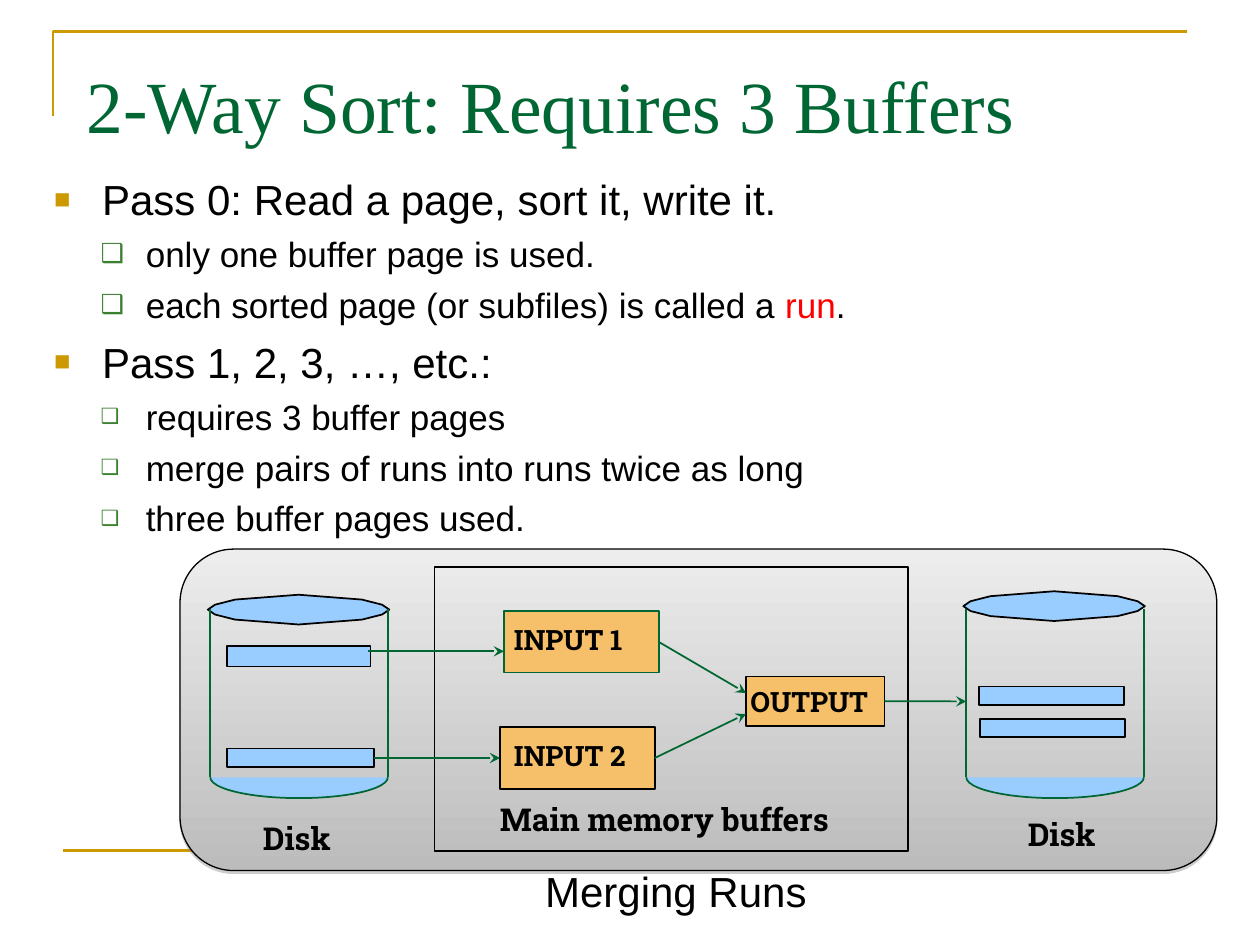
from lxml import etree
from pptx import Presentation
from pptx import util as u
from pptx.dml import color
from pptx.enum import shapes, text
from pptx.oxml import ns

GOLD, GREEN, BLACK = "CC9900", "006633", "000000"
BLUE, ORANGE, RED, LEAF = "99CCFF", "F6BF69", "FF0000", "3B812F"
SERIF, SANS, SLAB = "Times New Roman", "Arial", "Roboto Slab"
TOP, LEFT, BOTTOM, RIGHT = range(4)


def rgb(value):
    return color.RGBColor.from_string(value)


def add_xml(parent, tag, **attributes):
    child = etree.SubElement(parent, ns.qn(tag))
    for name, value in attributes.items():
        child.set(name, str(value))
    return child


class Sketch:
    def __init__(self, slide):
        self.shapes = slide.shapes

    def paint(self, shape, fill, line, width):
        shape.shadow.inherit = False
        if fill:
            shape.fill.solid()
            shape.fill.fore_color.rgb = rgb(fill)
        else:
            shape.fill.background()
        shape.line.color.rgb = rgb(line)
        shape.line.width = u.Pt(width)
        return shape

    def box(self, place, fill=None, line=BLACK, width=1, kind=shapes.MSO_SHAPE.RECTANGLE):
        shape = self.shapes.add_shape(kind, *map(u.Cm, place))
        return self.paint(shape, fill, line, width)

    def outline(self, points, fill=None, line=BLACK, width=1, close=False):
        start, *rest = [(u.Cm(x), u.Cm(y)) for x, y in points]
        builder = self.shapes.build_freeform(*start)
        builder.add_line_segments(rest, close=close)
        return self.paint(builder.convert_to_shape(), fill, line, width)

    def panel(self, place):
        panel = self.box(place, width=0.75, kind=shapes.MSO_SHAPE.ROUNDED_RECTANGLE)
        panel.fill.gradient()
        panel.fill.gradient_angle = 270
        for stop, position, shade in zip(panel.fill.gradient_stops, (0, 1), ("EDEDED", "BCBCBC")):
            stop.position = position
            stop.color.rgb = rgb(shade)
        effects = panel.element.spPr.find(ns.qn("a:effectLst"))
        shadow = add_xml(effects, "a:outerShdw", blurRad=0, dist=u.Pt(1.6), dir=5400000)
        tint = add_xml(shadow, "a:srgbClr", val="808080")
        add_xml(tint, "a:alpha", val=38000)

    def line(self, start, end, stroke=GREEN, width=1, arrow=False, source=None, target=None):
        ends = [u.Cm(value) for value in (*start, *end)]
        line = self.shapes.add_connector(shapes.MSO_CONNECTOR.STRAIGHT, *ends)
        if source:
            line.begin_connect(source, RIGHT)
        if target:
            line.end_connect(target, LEFT)
        line.line.color.rgb = rgb(stroke)
        line.line.width = u.Pt(width)
        properties = line.element.spPr
        if arrow:
            add_xml(properties.find(ns.qn("a:ln")), "a:tailEnd", type="stealth")
        add_xml(properties, "a:effectLst")

    def disk(self, left, lid_center):
        center_x, center_y = lid_center
        quarter = [(1, 0), (0.92, 0.33), (0.7, 0.67), (0, 1)]
        half = quarter + [(-x, y) for x, y in quarter[-2::-1]]
        rim = half + [(x, -y) for x, y in half[-2:0:-1]]
        self.outline([(center_x + 1.83 * x, center_y + 0.3 * y) for x, y in rim], BLUE, close=True)
        for wall in (left, left + 3.58):
            self.line((wall, 12.27), (wall, 15.67))
        base = self.box((left, 15.25, 3.58, 0.84), BLUE, GREEN, kind=shapes.MSO_SHAPE.ARC)
        base.adjustments[0] = 0
        base.adjustments[1] = 108

    def style(self, font, size, shade, name, bold=False):
        font.size = u.Pt(size)
        font.name = name
        font.color.rgb = rgb(shade)
        font.bold = bold

    def label(self, words, place, size, name=SLAB, shade=BLACK, bold=True, wrap=False):
        box = self.shapes.add_textbox(*map(u.Cm, place))
        box.text_frame.word_wrap = wrap
        para = box.text_frame.paragraphs[0]
        para.text = words
        self.style(para.font, size, shade, name, bold)
        return box

    def bullets(self, place, items):
        frame = self.shapes.add_textbox(*map(u.Cm, place)).text_frame
        frame.word_wrap = True
        for index, (level, scale, spans) in enumerate(items):
            para = frame.paragraphs[0] if index == 0 else frame.add_paragraph()
            size, gap, margin, hang, mark, shade = (
                (20, 5, 1.85, 0.91, "❑", LEAF) if level else (24, 6, 0.97, 0.97, "■", GOLD))
            para.level = level
            para.space_before = u.Pt(gap)
            self.style(para.font, size, BLACK, SANS)
            for words, tint in spans:
                span = para.add_run()
                span.text = words
                self.style(span.font, size, tint, SANS)
            properties = para._p.get_or_add_pPr()
            properties.set("marL", str(u.Cm(margin)))
            properties.set("indent", str(-u.Cm(hang)))
            defaults = properties.find(ns.qn("a:defRPr"))
            add_xml(add_xml(properties, "a:buClr"), "a:srgbClr", val=shade)
            add_xml(properties, "a:buSzPct", val=scale * 1000)
            add_xml(properties, "a:buFont", typeface=SANS)
            add_xml(properties, "a:buChar", char=mark)
            properties.append(defaults)


def main():
    deck = Presentation()
    deck.slide_width, deck.slide_height = u.Cm(25.4), u.Cm(19.05)
    sketch = Sketch(deck.slides.add_slide(deck.slide_layouts[6]))

    sketch.outline([(1.07, 2.34), (1.07, 0.64), (23.93, 0.64)], line=GOLD, width=1.5)
    sketch.line((1.27, 17.15), (24.13, 17.15), GOLD, 1.5)
    sketch.panel((3.63, 11.07, 20.9, 6.48))

    title = sketch.label("2-Way Sort: Requires 3 Buffers", (1.5, 0.91, 22.4, 2.39),
                         42, SERIF, GREEN, bold=False, wrap=True)
    title.text_frame.vertical_anchor = text.MSO_ANCHOR.MIDDLE
    sketch.bullets((0.84, 3.38, 24.33, 13.13), [
        (0, 65, [("Pass 0: Read a page, sort it, write it.", BLACK)]),
        (1, 75, [("only one buffer page is used.", BLACK)]),
        (1, 75, [("each sorted page (or subfiles) is called a ", BLACK), ("run", RED), (".", BLACK)]),
        (0, 65, [("Pass 1, 2, 3, …, etc.:", BLACK)]),
        (1, 60, [("requires 3 buffer pages", BLACK)]),
        (1, 60, [("merge pairs of runs into runs twice as long", BLACK)]),
        (1, 60, [("three buffer pages used.", BLACK)]),
    ])

    sketch.disk(4.24, (6.02, 12.29))
    sketch.disk(19.48, (21.25, 12.22))
    records = [sketch.box(place, BLUE) for place in (
        (4.57, 13.03, 2.9, 0.41), (4.57, 15.09, 2.97, 0.38),
        (19.74, 13.84, 2.92, 0.38), (19.76, 14.5, 2.92, 0.36))]

    sketch.box((8.76, 11.43, 9.54, 5.72))
    first_input = sketch.box((10.16, 12.32, 3.12, 1.24), ORANGE, GREEN)
    second_input = sketch.box((10.08, 14.66, 3.12, 1.24), ORANGE)
    output = sketch.box((15.04, 13.64, 2.79, 0.99), ORANGE)

    sketch.line((7.42, 13.13), (10.16, 13.13), arrow=True)
    sketch.line((7.54, 15.28), (10.08, 15.28), arrow=True, source=records[1], target=second_input)
    sketch.line((13.28, 12.94), (15.04, 13.97), arrow=True, source=first_input)
    sketch.line((13.2, 15.28), (15.04, 14.39), arrow=True, source=second_input)
    sketch.line((17.83, 14.14), (19.48, 14.14), arrow=True, source=output)

    for words, place, size in (
            ("INPUT 1", (10.11, 12.42, 2.9, 0.91), 16),
            ("INPUT 2", (10.11, 14.76, 2.9, 0.91), 16),
            ("OUTPUT", (14.88, 13.67, 2.95, 0.91), 16),
            ("Main memory buffers", (9.83, 16, 7.59, 1.02), 18),
            ("Disk", (5.05, 16.38, 1.98, 1.02), 18),
            ("Disk", (20.47, 16.31, 1.98, 1.02), 18)):
        sketch.label(words, place, size)
    sketch.label("Merging Runs", (10.74, 17.32, 10.21, 1.27), 24, SANS, bold=False, wrap=True)

    deck.save("out.pptx")


if __name__ == "__main__":
    main()
